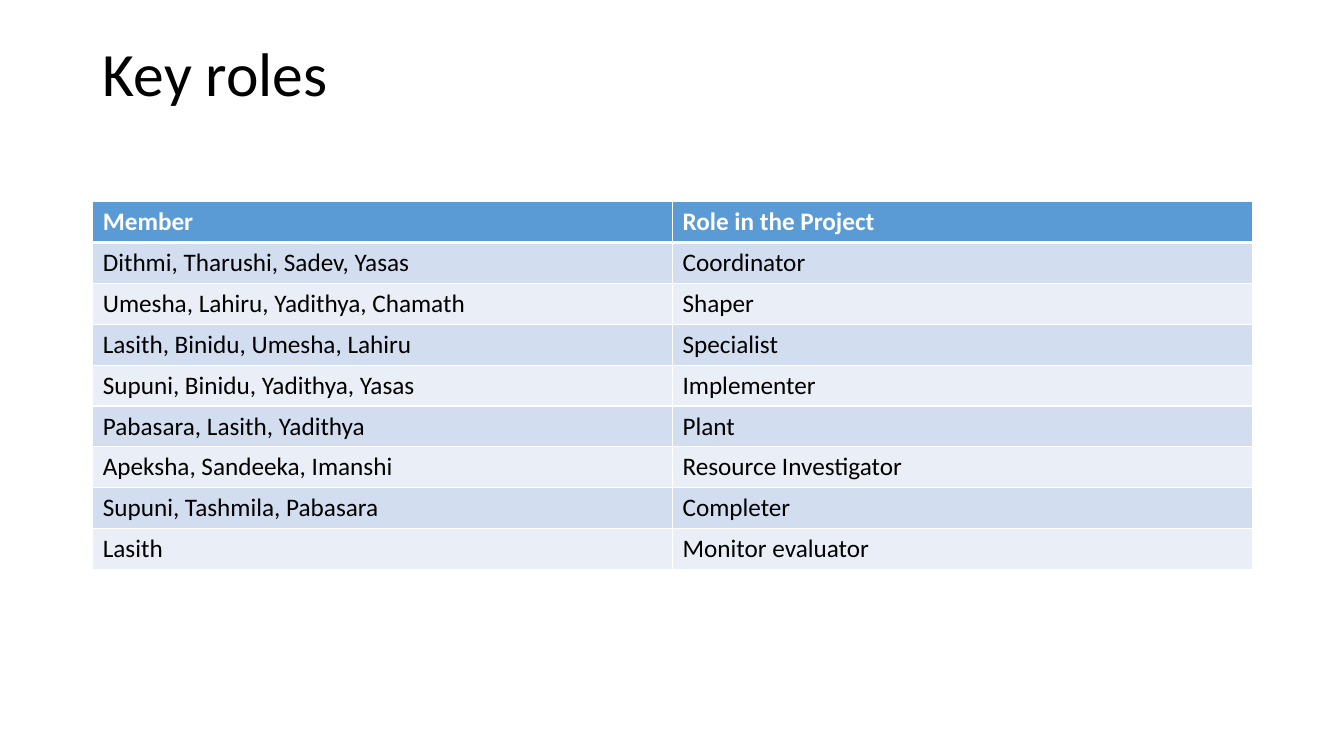
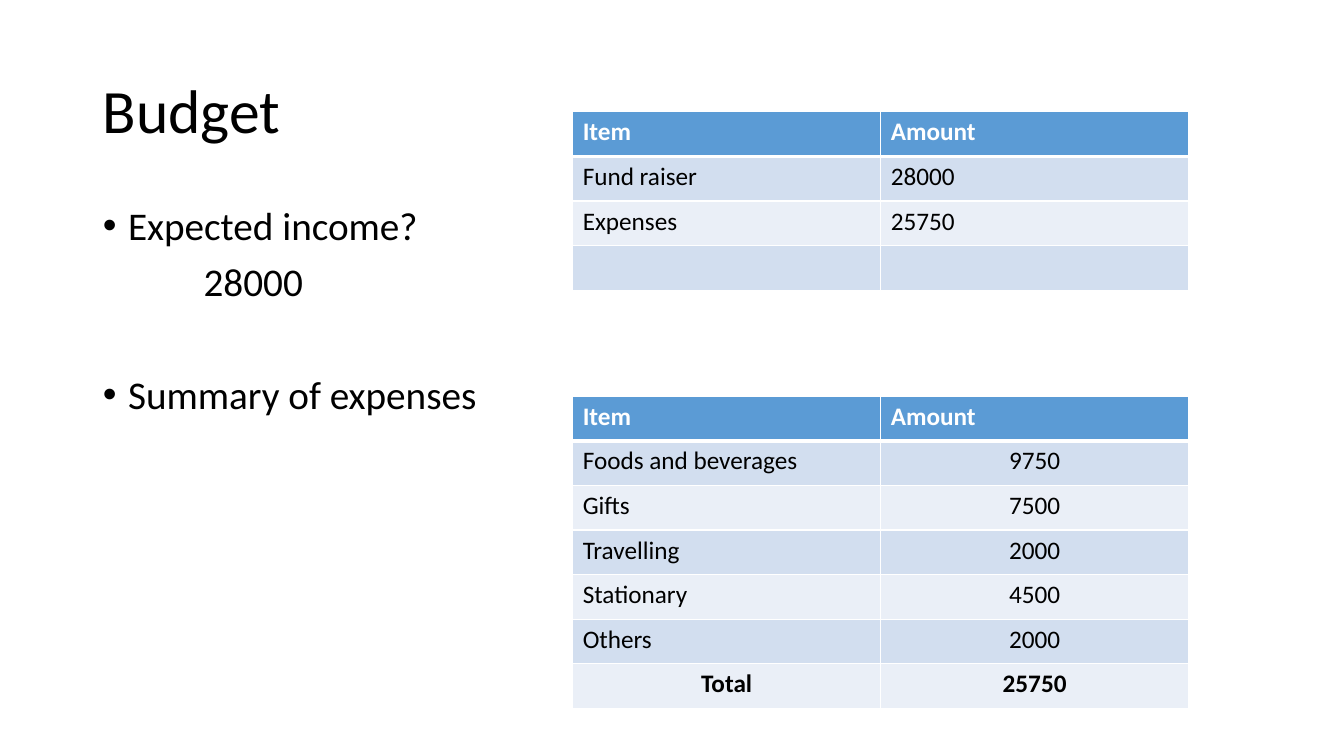
from lxml import etree
from pptx import Presentation
from pptx.dml.color import RGBColor
from pptx.enum import text
from pptx.oxml import ns
from pptx.util import Inches, Pt

FONT = "Calibri"
BLACK = RGBColor(0x00, 0x00, 0x00)
WHITE = RGBColor(0xFF, 0xFF, 0xFF)
HEADER = RGBColor(0x5B, 0x9B, 0xD5)
BANDS = [RGBColor(0xEA, 0xEF, 0xF7), RGBColor(0xD2, 0xDE, 0xEF)]
LEFT, CENTER = text.PP_ALIGN.LEFT, text.PP_ALIGN.CENTER


def write(p, words, size, color=BLACK, bold=False, align=LEFT):
    p.alignment = align
    r = p.add_run()
    r.text = words
    r.font.color.rgb = color
    for name, value in {"name": FONT, "size": Pt(size), "bold": bold}.items():
        setattr(r.font, name, value)


def add_table(s, box, rows, amount_align=LEFT, total=False):
    table = s.shapes.add_table(len(rows), 2, *[Inches(v) for v in box]).table
    for i, row in enumerate(rows):
        is_total = total and i == len(rows) - 1
        for j, words in enumerate(row):
            cell = table.cell(i, j)
            tcPr = cell._tc.get_or_add_tcPr()
            for side in "LRTB":
                thick = (i, side) in [(0, "B"), (1, "T")]
                ln = etree.SubElement(tcPr, ns.qn(f"a:ln{side}"), w=str(Pt(3 if thick else 1)))
                fill = etree.SubElement(ln, ns.qn("a:solidFill"))
                etree.SubElement(fill, ns.qn("a:srgbClr"), val=str(WHITE))
            cell.fill.solid()
            cell.fill.fore_color.rgb = BANDS[i % 2] if i else HEADER
            if words:
                align = CENTER if is_total else amount_align if i and j else LEFT
                write(cell.text_frame.paragraphs[0], words, 18,
                      BLACK if i else WHITE, i == 0 or is_total, align)


prs = Presentation()
prs.slide_width, prs.slide_height = Inches(13.33), Inches(7.5)
TITLE_AND_CONTENT, TITLE_ONLY = prs.slide_layouts[1], prs.slide_layouts[5]

slides = []
for layout, title, bottom in [(TITLE_ONLY, "Key roles", 0.78),
                              (TITLE_AND_CONTENT, "Budget", 0.05)]:
    s = prs.slides.add_slide(layout)
    sp = s.shapes.title
    sp.left, sp.top, sp.width, sp.height = [Inches(v) for v in (0.92, 0.4, 11.5, 1.45)]
    tf = sp.text_frame
    for name, value in {"auto_size": text.MSO_AUTO_SIZE.NONE, "word_wrap": True,
                        "vertical_anchor": text.MSO_ANCHOR.MIDDLE,
                        "margin_bottom": Inches(bottom)}.items():
        setattr(tf, name, value)
    tf.paragraphs[0].line_spacing = 0.9
    write(tf.paragraphs[0], title, 44)
    slides.append(s)
roles, budget = slides

add_table(roles, (0.92, 2, 11.5, 3.63), [
    ("Member", "Role in the Project"),
    ("Dithmi, Tharushi, Sadev, Yasas", "Coordinator"),
    ("Umesha, Lahiru, Yadithya, Chamath", "Shaper"),
    ("Lasith, Binidu, Umesha, Lahiru", "Specialist"),
    ("Supuni, Binidu, Yadithya, Yasas", "Implementer"),
    ("Pabasara, Lasith, Yadithya", "Plant"),
    ("Apeksha, Sandeeka, Imanshi", "Resource Investigator"),
    ("Supuni, Tashmila, Pabasara", "Completer"),
    ("Lasith", "Monitor evaluator"),
])

sp = budget.placeholders[1]
sp.left, sp.top, sp.width, sp.height = [Inches(v) for v in (0.92, 2, 11.5, 4.76)]
tf = sp.text_frame
tf.auto_size = text.MSO_AUTO_SIZE.NONE
for i, (words, bullet, before) in enumerate([("Expected income?", True, 10),
                                             ("28000", False, 10),
                                             ("Summary of expenses", True, 50)]):
    p = tf.add_paragraph() if i else tf.paragraphs[0]
    p.line_spacing, p.space_before = 0.9, Pt(before)
    write(p, words, 28)
    pPr = p._p.get_or_add_pPr()
    pPr.set("marL", str(Inches(0.25 if bullet else 1)))
    pPr.set("indent", str(Inches(-0.25 if bullet else 0)))
    if bullet:
        etree.SubElement(pPr, ns.qn("a:buFont"), typeface="Arial")
        etree.SubElement(pPr, ns.qn("a:buChar"), char="•")
    else:
        etree.SubElement(pPr, ns.qn("a:buNone"))

add_table(budget, (5.68, 1.11, 6.11, 1.77), [
    ("Item", "Amount"),
    ("Fund raiser", "28000"),
    ("Expenses", "25750"),
    ("", ""),
])
add_table(budget, (5.68, 3.93, 6.11, 3.1), [
    ("Item", "Amount"),
    ("Foods and beverages", "9750"),
    ("Gifts", "7500"),
    ("Travelling", "2000"),
    ("Stationary", "4500"),
    ("Others", "2000"),
    ("Total", "25750"),
], CENTER, total=True)

prs.save("out.pptx")
